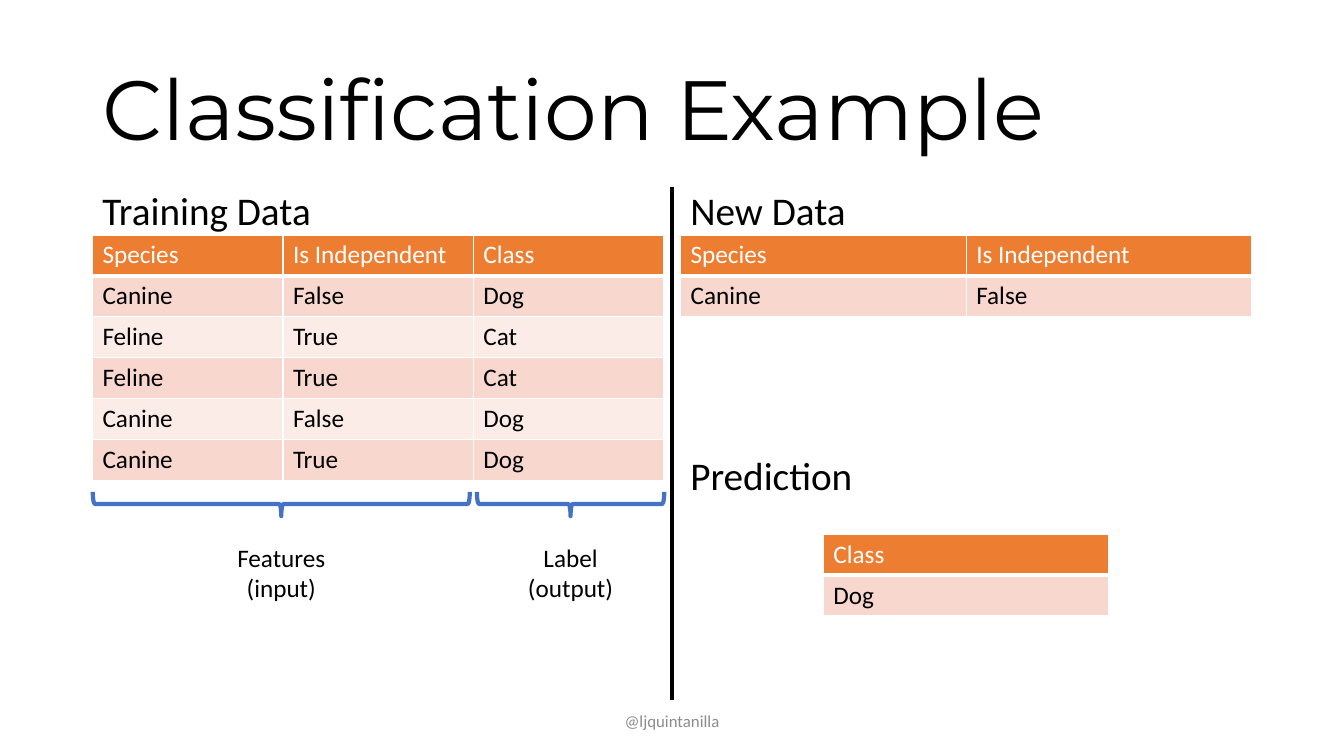
from pptx import Presentation
from pptx.dml.color import RGBColor
from pptx.enum.shapes import MSO_CONNECTOR as Conn, MSO_SHAPE as Kind
from pptx.enum.text import MSO_ANCHOR as Anchor, MSO_AUTO_SIZE as Fit, PP_ALIGN as Align
from pptx.oxml.ns import qn
from pptx.util import Cm, Pt
from lxml.etree import SubElement as Sub

INK = {
    "text": "000000", "white": "FFFFFF", "head": "ED7D31", "odd": "F8D7CE",
    "even": "FCECE8", "brace": "4472C4", "note": "8C8C8C",
}
TRAIN = [
    ["Species", "Is Independent", "Class"],
    ["Canine", "False", "Dog"],
    ["Feline", "True", "Cat"],
    ["Feline", "True", "Cat"],
    ["Canine", "False", "Dog"],
    ["Canine", "True", "Dog"],
]
NEW = [["Species", "Is Independent"], ["Canine", "False"]]
GUESS = [["Class"], ["Dog"]]


def tint(name):
    return RGBColor.from_string(INK[name])


def write(frame, text, size=18, color="text", font="Calibri",
          align=Align.LEFT, space=None):
    """Fill a text frame, one paragraph for each line."""
    frame.text = text
    for para in frame.paragraphs:
        para.alignment = align
        if space:
            para.line_spacing = space
        face = para.font
        face.name, face.size, face.bold = font, Pt(size), False
        face.color.rgb = tint(color)


class Page:
    row = 1.03  # table row height
    edge = 3    # line width of braces and divider

    def __init__(self, deck):
        self.slide = deck.slides.add_slide(deck.slide_layouts[5])
        self.shapes = self.slide.shapes

    def title(self, text, x, y, w, h):
        box = self.shapes.title
        box.left, box.top, box.width, box.height = map(Cm, (x, y, w, h))
        frame = box.text_frame
        frame.auto_size = Fit.NONE
        frame.vertical_anchor = Anchor.MIDDLE
        write(frame, text, size=60, font="Montserrat", space=0.9)

    def label(self, text, x, y, w, h, wrap=False, anchor=Anchor.TOP, **style):
        frame = self.shapes.add_textbox(*map(Cm, (x, y, w, h))).text_frame
        frame.word_wrap = wrap
        frame.vertical_anchor = anchor
        write(frame, text, **style)

    def border(self, cell, head):
        props = cell._tc.get_or_add_tcPr()
        for spot, side in enumerate(("lnL", "lnR", "lnT", "lnB")):
            width = 3 if head and side == "lnB" else 1
            line = props.makeelement(qn("a:" + side), {"w": str(Pt(width))})
            fill = Sub(line, qn("a:solidFill"))
            Sub(fill, qn("a:srgbClr"), val=INK["white"])
            props.insert(spot, line)

    def table(self, data, x, y, w):
        rows, cols = len(data), len(data[0])
        grid = self.shapes.add_table(
            rows, cols, Cm(x), Cm(y), Cm(w), Cm(rows * self.row)).table
        for r, line in enumerate(data):
            back = "head" if r == 0 else ("even", "odd")[r % 2]
            for c, text in enumerate(line):
                cell = grid.cell(r, c)
                cell.fill.solid()
                cell.fill.fore_color.rgb = tint(back)
                self.border(cell, r == 0)
                write(cell.text_frame, text, color="text" if r else "white")

    def brace(self, mid, y, span, depth=0.61):
        """Draw a brace that opens upward, centred on (mid, y)."""
        mark = self.shapes.add_shape(
            Kind.LEFT_BRACE, Cm(mid - depth / 2), Cm(y - span / 2),
            Cm(depth), Cm(span))
        mark.rotation = 270
        mark.shadow.inherit = False
        mark.fill.background()
        mark.line.color.rgb = tint("brace")
        mark.line.width = Pt(self.edge)

    def rule(self, x, top, end):
        line = self.shapes.add_connector(
            Conn.STRAIGHT, Cm(x), Cm(end), Cm(x), Cm(top))
        line.line.color.rgb = tint("text")
        line.line.width = Pt(self.edge)
        Sub(line._element.spPr, qn("a:effectLst"))


def main():
    deck = Presentation()
    deck.slide_width, deck.slide_height = Cm(33.87), Cm(19.05)
    page = Page(deck)
    left, right, wide = 2.33, 17.15, 14.4

    page.title("Classification Example", left, 1.02, 29.21, 3.68)

    # Tables
    page.table(TRAIN, left, 5.92, wide)
    page.table(NEW, right, 5.92, wide)
    page.table(GUESS, right + wide / 4, 13.46, wide / 2)

    # Braces with their captions
    for text, mid, span in (("Features\n(input)", 7.09, 9.5),
                            ("Label\n(output)", 14.38, 4.72)):
        page.brace(mid, 12.7, span)
        page.label(text, mid - 1.37, 13.54, 2.74, 1.8, align=Align.CENTER)

    # Section headings
    for text, x, y, w in (("Training Data", left, 4.57, 5.82),
                          ("New Data", right, 4.57, 4.47),
                          ("Prediction", right, 11.25, 4.65)):
        page.label(text, x, y, w, 1.45, size=28)

    # Divider and footer
    page.rule(16.94, 4.7, 17.65)
    page.label("@ljquintanilla", 11.22, 17.65, 11.43, 1.02, wrap=True,
               anchor=Anchor.MIDDLE, size=12, color="note", align=Align.CENTER)

    deck.save("out.pptx")


if __name__ == "__main__":
    main()
